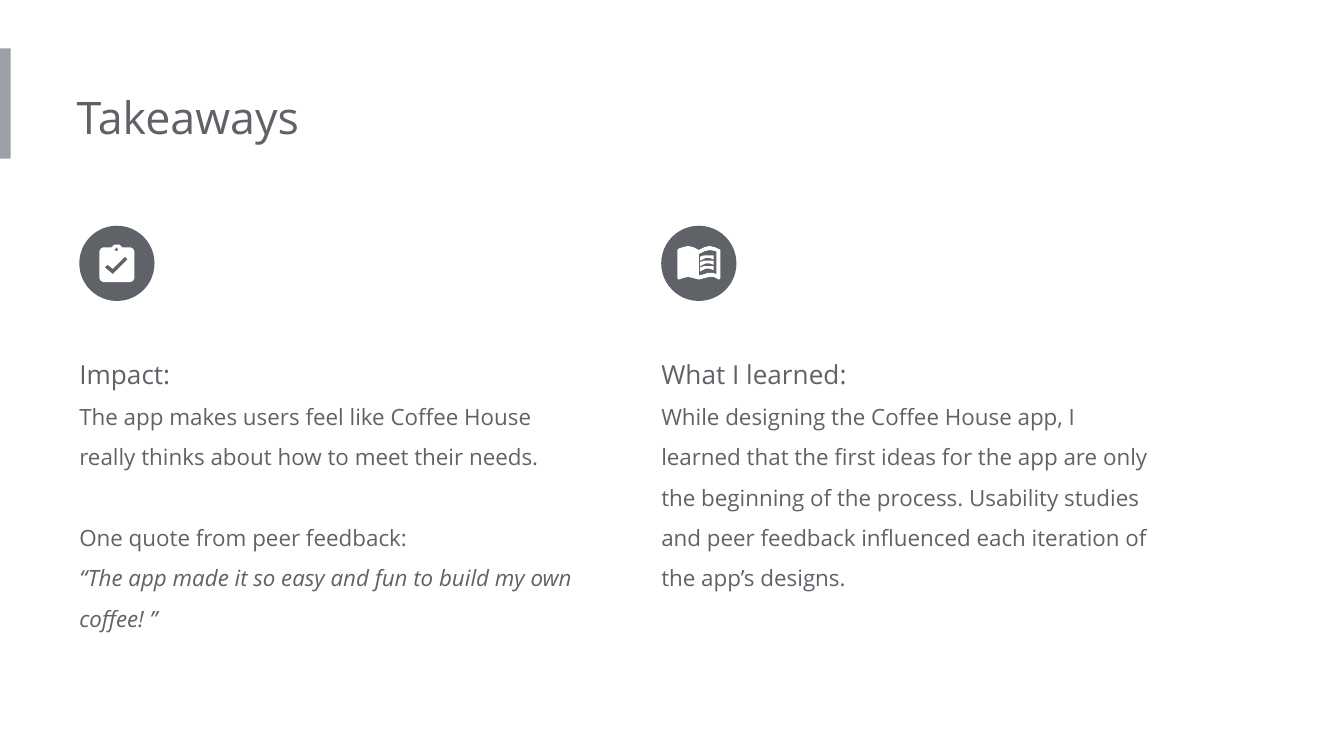
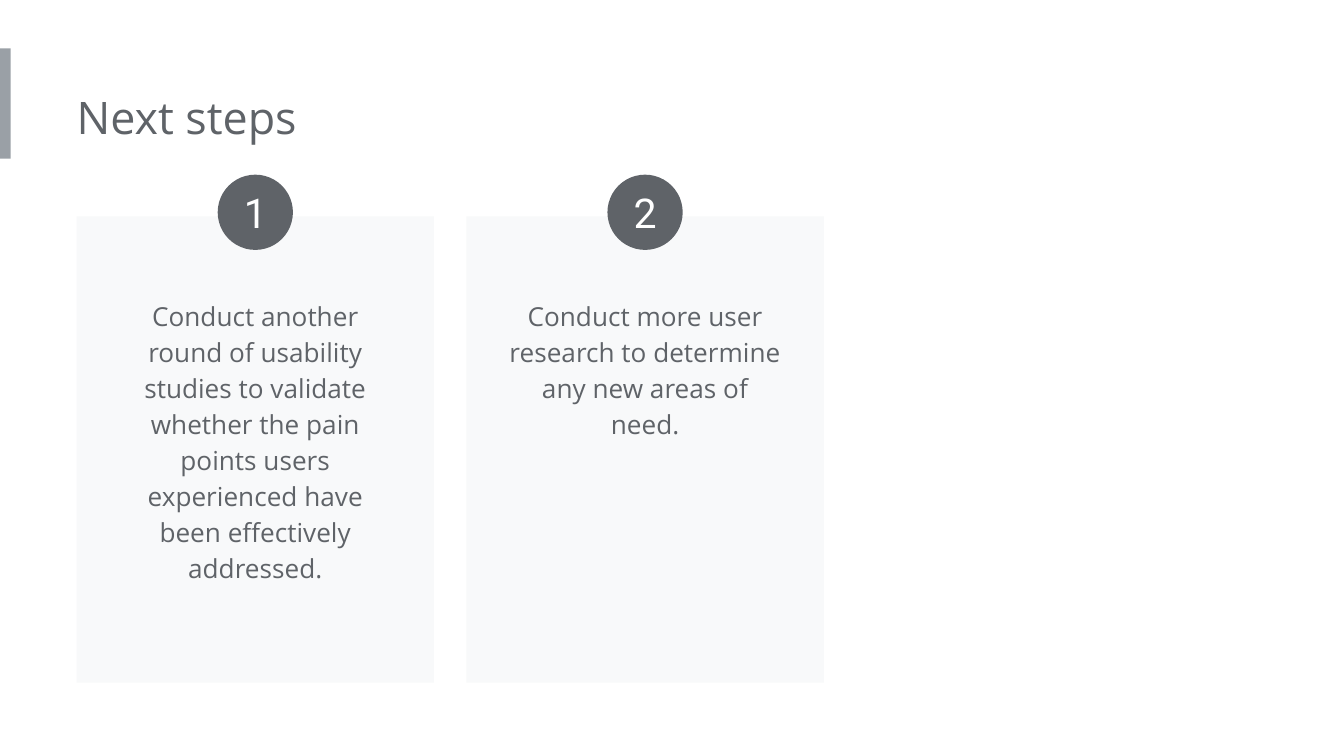
from lxml.etree import SubElement
from pptx import Presentation
from pptx.dml.color import RGBColor
from pptx.enum.shapes import MSO_SHAPE as Preset
from pptx.enum.text import MSO_ANCHOR as Anchor, MSO_AUTO_SIZE as AutoSize, PP_ALIGN as Align
from pptx.oxml.ns import qn
from pptx.util import Inches, Pt

# Shared look
GREY = "5F6368"
BAND = "9AA0A6"
PALE = "F8F9FA"
WHITE = "FFFFFF"
TEXT_FONT = "Open Sans"
NUMBER_FONT = "Roboto"
BADGE = Inches(0.56)


def paint(shape, color):
    shape.shadow.inherit = False
    shape.fill.solid()
    shape.fill.fore_color.rgb = RGBColor.from_string(color)
    shape.line.fill.background()


def write(shape, lines, color=GREY, font=TEXT_FONT, spacing=1.0, align=Align.LEFT,
          anchor=Anchor.TOP, insets=(0, 0.1, 0.1, 0.1)):
    """Fill a shape with lines of (text, size, italic, space before)."""
    frame = shape.text_frame
    frame.text = "\n".join(line[0] for line in lines)
    frame.word_wrap = True
    frame.auto_size = AutoSize.NONE
    frame.vertical_anchor = anchor
    frame.margin_left, frame.margin_top, frame.margin_right, frame.margin_bottom = map(Inches, insets)
    for paragraph, (_, size, italic, before) in zip(frame.paragraphs, lines):
        paragraph.alignment = align
        paragraph.line_spacing = spacing
        paragraph.space_before = Pt(before)
        for run in paragraph.runs:
            run.font.name = font
            run.font.size = Pt(size)
            run.font.italic = italic
            run.font.color.rgb = RGBColor.from_string(color)


prs = Presentation()
prs.slide_width = Inches(10)
prs.slide_height = Inches(5.625)
two_content, title_only = prs.slide_layouts[3], prs.slide_layouts[5]

# Both slides: side band and title
takeaways = prs.slides.add_slide(two_content)
next_steps = prs.slides.add_slide(title_only)
for slide, heading in ((takeaways, "Takeaways"), (next_steps, "Next steps")):
    band = slide.shapes.add_shape(Preset.RECTANGLE, 0, Inches(0.36), Inches(0.08), Inches(0.82))
    paint(band, BAND)
    title = slide.shapes.title
    title.left, title.top, title.width, title.height = map(Inches, (0.57, 0.57, 5.39, 0.61))
    write(title, [(heading, 24, False, 0)])

# Takeaways: icon outlines, each a list of closed contours in inches
clipboard = [
    [(0.77, 1.84), (0.83, 1.84), (0.85, 1.82), (0.89, 1.82), (0.91, 1.84), (0.97, 1.84),
     (0.99, 1.85), (1, 1.87), (1, 2.07), (0.99, 2.09), (0.97, 2.1), (0.77, 2.1),
     (0.75, 2.09), (0.74, 2.07), (0.74, 1.87), (0.75, 1.85)],
    [(0.87, 1.84), (0.88, 1.86), (0.87, 1.87), (0.85, 1.86)],
    [(0.84, 2.04), (0.78, 1.99), (0.8, 1.97), (0.84, 2), (0.93, 1.91), (0.95, 1.93)],
]
book = [
    [(5.04, 1.86), (5.05, 1.85), (5.08, 1.84), (5.12, 1.83), (5.16, 1.84), (5.2, 1.86),
     (5.24, 1.84), (5.28, 1.83), (5.32, 1.84), (5.36, 1.86), (5.36, 2.07), (5.35, 2.08),
     (5.31, 2.06), (5.28, 2.06), (5.24, 2.07), (5.2, 2.08), (5.16, 2.07), (5.12, 2.06),
     (5.08, 2.07), (5.05, 2.08), (5.04, 2.07)],
    [(5.2, 1.89), (5.24, 1.87), (5.28, 1.86), (5.33, 1.87), (5.33, 2.04), (5.3, 2.03),
     (5.27, 2.03), (5.24, 2.04), (5.2, 2.05)],
]
page_line = [(5.21, 1.91), (5.24, 1.9), (5.31, 1.9), (5.31, 1.93), (5.28, 1.92),
             (5.25, 1.92), (5.21, 1.94)]
page_lines = [[[(x, y + 0.04 * row) for x, y in page_line]] for row in range(3)]

impact = [
    ("Impact:", 14, False, 0),
    ("The app makes users feel like Coffee House really thinks about how to meet their needs.",
     12, False, 0),
    ("One quote from peer feedback:", 12, False, 21.6),
    ("“The app made it so easy and fun to build my own coffee! ”", 12, True, 0),
]
learned = [
    ("What I learned:", 14, False, 0),
    ("While designing the Coffee House app, I learned that the first ideas for the app are only "
     "the beginning of the process. Usability studies and peer feedback influenced each "
     "iteration of the app’s designs.", 12, False, 0),
]

# Takeaways: two columns of icon and text
columns = (
    (1, 0.59, 2.88, impact, [clipboard]),
    (2, 4.92, 1.97, learned, [book, *page_lines]),
)
for index, left, height, lines, icon in columns:
    body = takeaways.placeholders[index]
    body.left, body.top, body.width, body.height = map(Inches, (left, 2.45, 3.77, height))
    write(body, lines, spacing=1.5)
    for paragraph in body.text_frame.paragraphs:
        properties = paragraph._p.get_or_add_pPr()
        properties.set("marL", "0")
        properties.set("indent", "0")
        SubElement(properties, qn("a:buNone"))

    disc = takeaways.shapes.add_shape(Preset.OVAL, Inches(left), Inches(1.68), BADGE, BADGE)
    paint(disc, GREY)
    for contours in icon:
        outline = None
        for contour in contours:
            start, *rest = [(Inches(x), Inches(y)) for x, y in contour]
            if outline is None:
                outline = takeaways.shapes.build_freeform(*start)
            else:
                outline.move_to(*start)
            outline.add_line_segments(rest, close=True)
        paint(outline.convert_to_shape(), WHITE)

# Next steps: numbered cards
steps = (
    ("Conduct another round of usability studies to validate whether the pain points users "
     "experienced have been effectively addressed.", 2.57),
    ("Conduct more user research to determine any new areas of need.", 1.49),
)
for number, (step, height) in enumerate(steps, 1):
    left = 0.57 + 2.9 * (number - 1)
    card = next_steps.shapes.add_shape(
        Preset.RECTANGLE, Inches(left), Inches(1.61), Inches(2.66), Inches(3.47))
    paint(card, PALE)
    step_text = next_steps.shapes.add_textbox(
        Inches(left + 0.21), Inches(2.1), Inches(2.24), Inches(height))
    write(step_text, [(step, 14, False, 0)], spacing=1.15, align=Align.CENTER,
          insets=(0.1, 0.1, 0.1, 0.1))
    badge = next_steps.shapes.add_shape(
        Preset.OVAL, Inches(left + 1.05), Inches(1.3), BADGE, BADGE)
    paint(badge, GREY)
    write(badge, [(str(number), 22, False, 0)], color=WHITE, font=NUMBER_FONT,
          align=Align.CENTER, anchor=Anchor.MIDDLE, insets=(0, 0, 0, 0))

prs.save("out.pptx")
